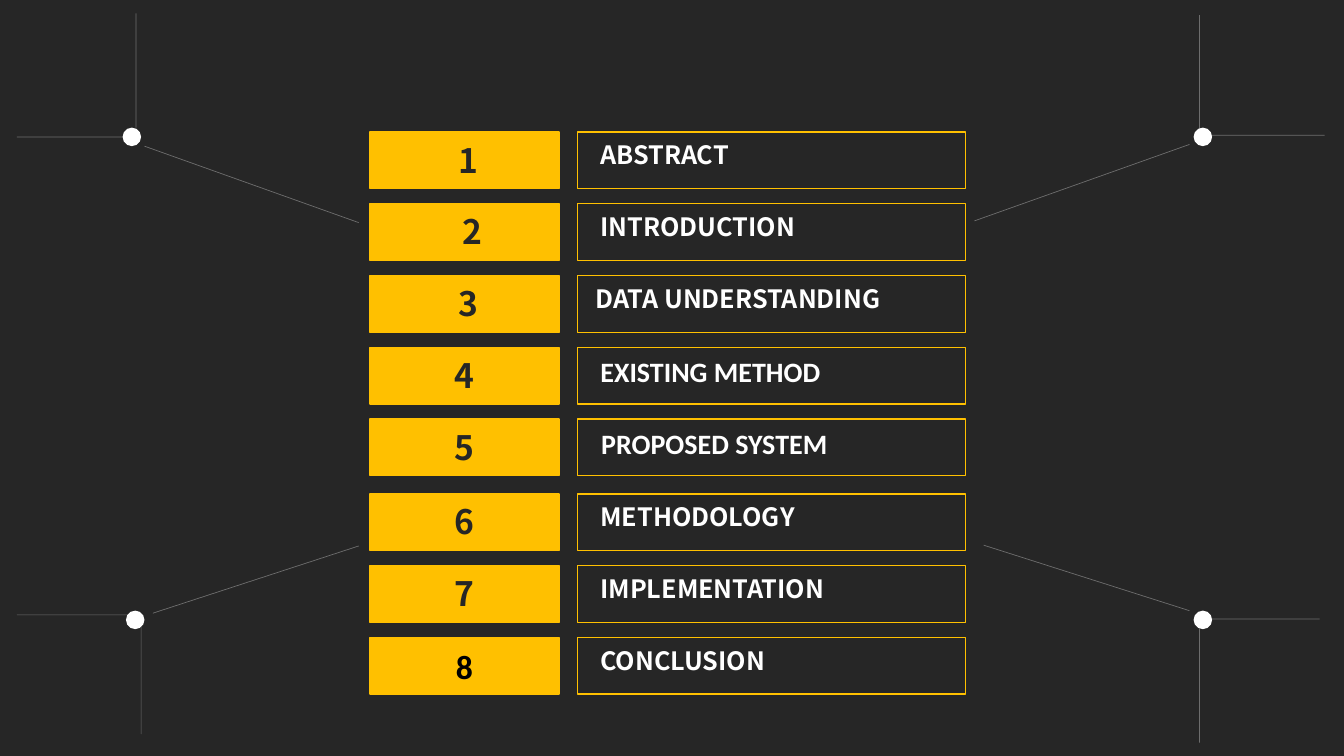
from lxml.etree import SubElement
from pptx import Presentation
from pptx.dml.color import RGBColor
from pptx.enum.shapes import MSO_CONNECTOR, MSO_SHAPE
from pptx.enum.text import MSO_ANCHOR, PP_ALIGN
from pptx.oxml.ns import qn
from pptx.util import Emu, Pt

DARK = RGBColor(0x26, 0x26, 0x26)
GOLD = RGBColor(0xFF, 0xC0, 0x00)
WHITE = RGBColor(0xFF, 0xFF, 0xFF)
BLACK = RGBColor(0x00, 0x00, 0x00)

# The slide is a grid of 160 columns by 90 rows of square cells.
COLUMNS, ROWS = 160, 90
CELL = 76200

NUMBER_LEFT, NUMBER_WIDTH = 44.04, 22.5
TOPIC_LEFT, TOPIC_WIDTH = 68.76, 46.2
LABEL_LEFT, LABEL_WIDTH = 70.3, 43
ENTRY_HEIGHT, ENTRY_PITCH = 6.75, 8.54
LABEL_DROP = 0.3
MARGIN = 1.2

NOTO = "Noto Sans CJK SC"
NUMBER_FORMAT = {"name": NOTO, "size": Pt(24), "bold": True}
LAST_NUMBER_FORMAT = {"name": "Calibri", "size": Pt(24), "bold": True}
TOPIC_FORMAT = {"name": NOTO, "size": Pt(18), "bold": True}
METHOD_FORMAT = {"name": "Calibri", "size": Pt(20), "bold": True}

# Topic, its format, number shift and topic shift in columns
UPPER_ENTRIES = [
    ("ABSTRACT", TOPIC_FORMAT, 0.45, 0),
    ("INTRODUCTION", TOPIC_FORMAT, 0.9, 0),
    ("DATA UNDERSTANDING", TOPIC_FORMAT, 0.45, -0.55),
    ("EXISTING METHOD", METHOD_FORMAT, 0, 0),
    ("PROPOSED SYSTEM", METHOD_FORMAT, 0, 0.1),
]
LOWER_ENTRIES = [
    ("METHODOLOGY", TOPIC_FORMAT, 0, 0),
    ("IMPLEMENTATION", TOPIC_FORMAT, 0, 0),
    ("CONCLUSION", TOPIC_FORMAT, 0, 0),
]
BLOCKS = [(15.72, UPPER_ENTRIES), (58.8, LOWER_ENTRIES)]

# Each corner: its node, then its three branches as x1, y1, x2, y2
CORNERS = [
    ((14.6, 15.2), [(2, 16.3, 15.7, 16.3), (16.2, 15.2, 16.2, 1.6),
                    (17.2, 17.4, 42.7, 26.5)]),
    ((142.1, 15.2), [(142.8, 1.8, 142.8, 15.6), (144, 16.1, 157.7, 16.1),
                     (141.6, 17.2, 116, 26.3)]),
    ((15, 72.7), [(16.8, 87.4, 16.8, 73.7), (15.7, 73.2, 2, 73.2),
                  (18.2, 73, 42.7, 65)]),
    ((142.1, 72.7), [(157.1, 73.7, 143.3, 73.7), (142.8, 74.8, 142.8, 88.4),
                     (141.6, 72.7, 117.1, 64.9)]),
]
NODE_SIZE = 2.2


def cells(*counts):
    return [Emu(round(count * CELL)) for count in counts]


def add_block(slide, bounds, fill=None, outline=None, kind=MSO_SHAPE.RECTANGLE):
    block = slide.shapes.add_shape(kind, *cells(*bounds))
    block.shadow.inherit = False
    if fill is None:
        block.fill.background()
    else:
        block.fill.solid()
        block.fill.fore_color.rgb = fill
    if outline is None:
        block.line.fill.background()
    else:
        block.line.color.rgb = outline
        block.line.width = Pt(1)
    return block


def write(frame, text, font_format, color, align):
    frame.word_wrap = True
    paragraph = frame.paragraphs[0]
    paragraph.alignment = align
    run = paragraph.add_run()
    run.text = text
    for attribute, value in font_format.items():
        setattr(run.font, attribute, value)
    run.font.color.rgb = color


def add_label(slide, bounds, *text_and_style, indent=0):
    frame = slide.shapes.add_textbox(*cells(*bounds)).text_frame
    frame.margin_left = cells(MARGIN + indent)[0]
    write(frame, *text_and_style)


def add_branch(slide, ends):
    """Draw a thin, mostly transparent line of the corner network."""
    branch = slide.shapes.add_connector(MSO_CONNECTOR.STRAIGHT, *cells(*ends))
    branch.line.color.rgb = WHITE
    branch.line.width = Pt(0.5)
    properties = branch._element.spPr
    color = properties.find(".//" + qn("a:srgbClr"))
    SubElement(color, qn("a:alpha"), val="32000")
    SubElement(properties, qn("a:effectLst"))


def add_corner(slide, node, branches):
    for ends in branches:
        add_branch(slide, ends)
    add_block(slide, (*node, NODE_SIZE, NODE_SIZE), WHITE, kind=MSO_SHAPE.OVAL)


def add_entry(slide, top, number, entry, is_last):
    topic, topic_format, number_shift, topic_shift = entry
    tile_bounds = (NUMBER_LEFT, top, NUMBER_WIDTH, ENTRY_HEIGHT)
    tile = add_block(slide, tile_bounds, GOLD, GOLD)
    if is_last:
        tile.text_frame.vertical_anchor = MSO_ANCHOR.MIDDLE
        write(tile.text_frame, str(number), LAST_NUMBER_FORMAT, BLACK, PP_ALIGN.CENTER)
    else:
        add_label(slide, (NUMBER_LEFT, top + LABEL_DROP, NUMBER_WIDTH, 6),
                  str(number), NUMBER_FORMAT, DARK, PP_ALIGN.CENTER,
                  indent=2 * number_shift)
    add_block(slide, (TOPIC_LEFT, top, TOPIC_WIDTH, ENTRY_HEIGHT), outline=GOLD)
    add_label(slide, (LABEL_LEFT + topic_shift, top + LABEL_DROP, LABEL_WIDTH, 4.8),
              topic, topic_format, WHITE, PP_ALIGN.LEFT)


def main():
    deck = Presentation()
    deck.slide_width, deck.slide_height = cells(COLUMNS, ROWS)
    slide = deck.slides.add_slide(deck.slide_layouts[6])
    add_block(slide, (0, 0, COLUMNS, ROWS), DARK)
    for node, branches in CORNERS:
        add_corner(slide, node, branches)
    entries = [(start + index * ENTRY_PITCH, entry)
               for start, block in BLOCKS for index, entry in enumerate(block)]
    for number, (top, entry) in enumerate(entries, 1):
        add_entry(slide, top, number, entry, number == len(entries))
    deck.save("out.pptx")


if __name__ == "__main__":
    main()
